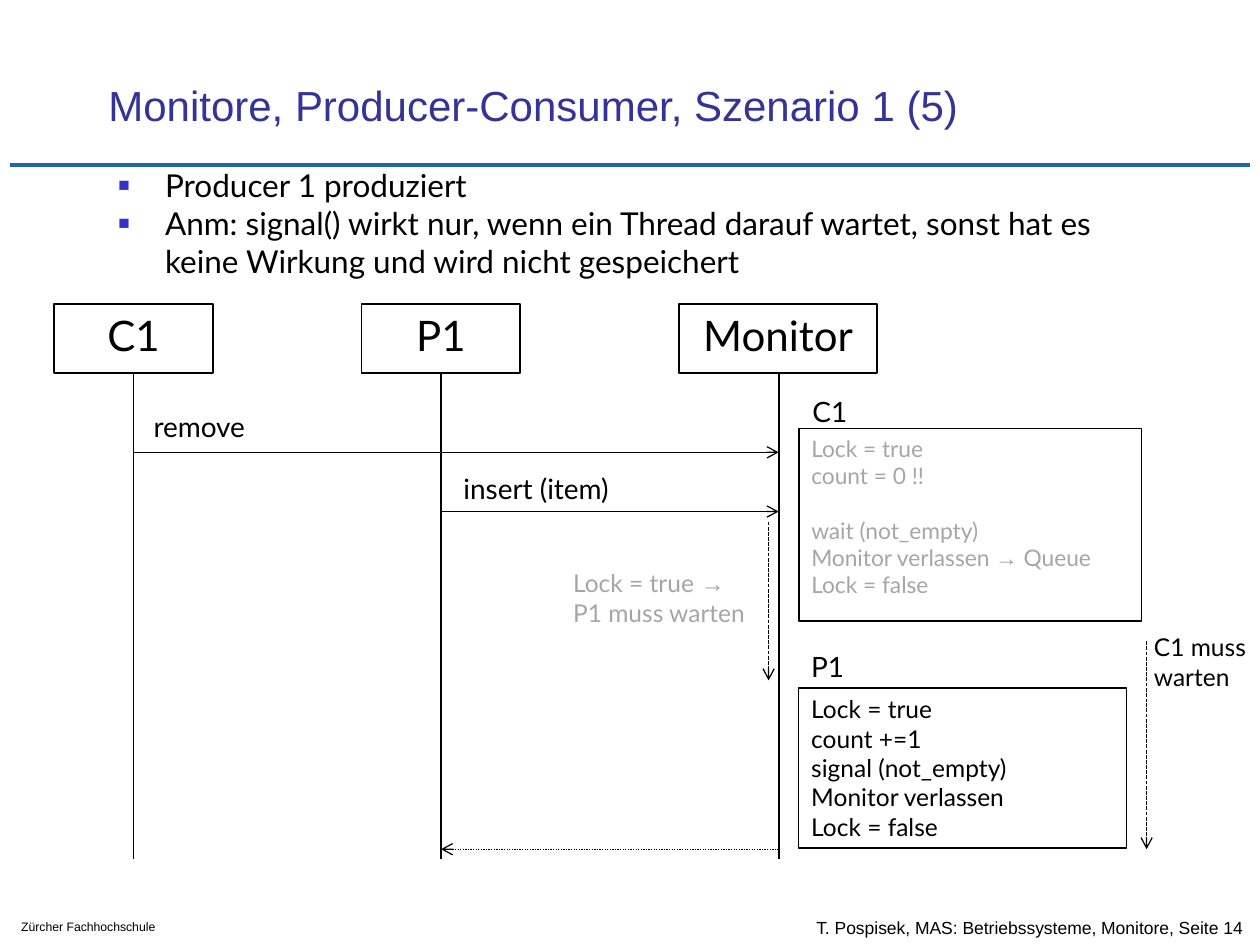
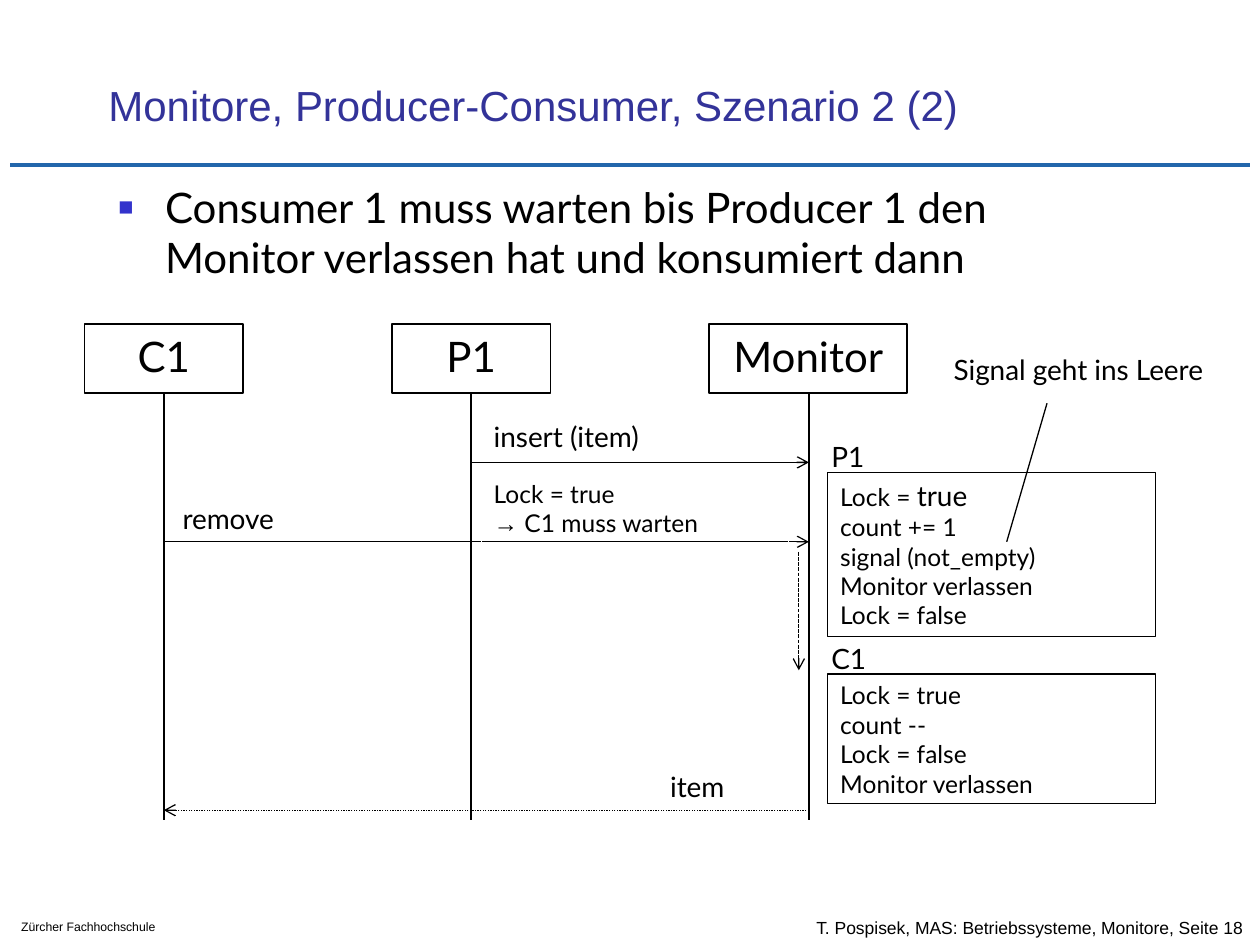
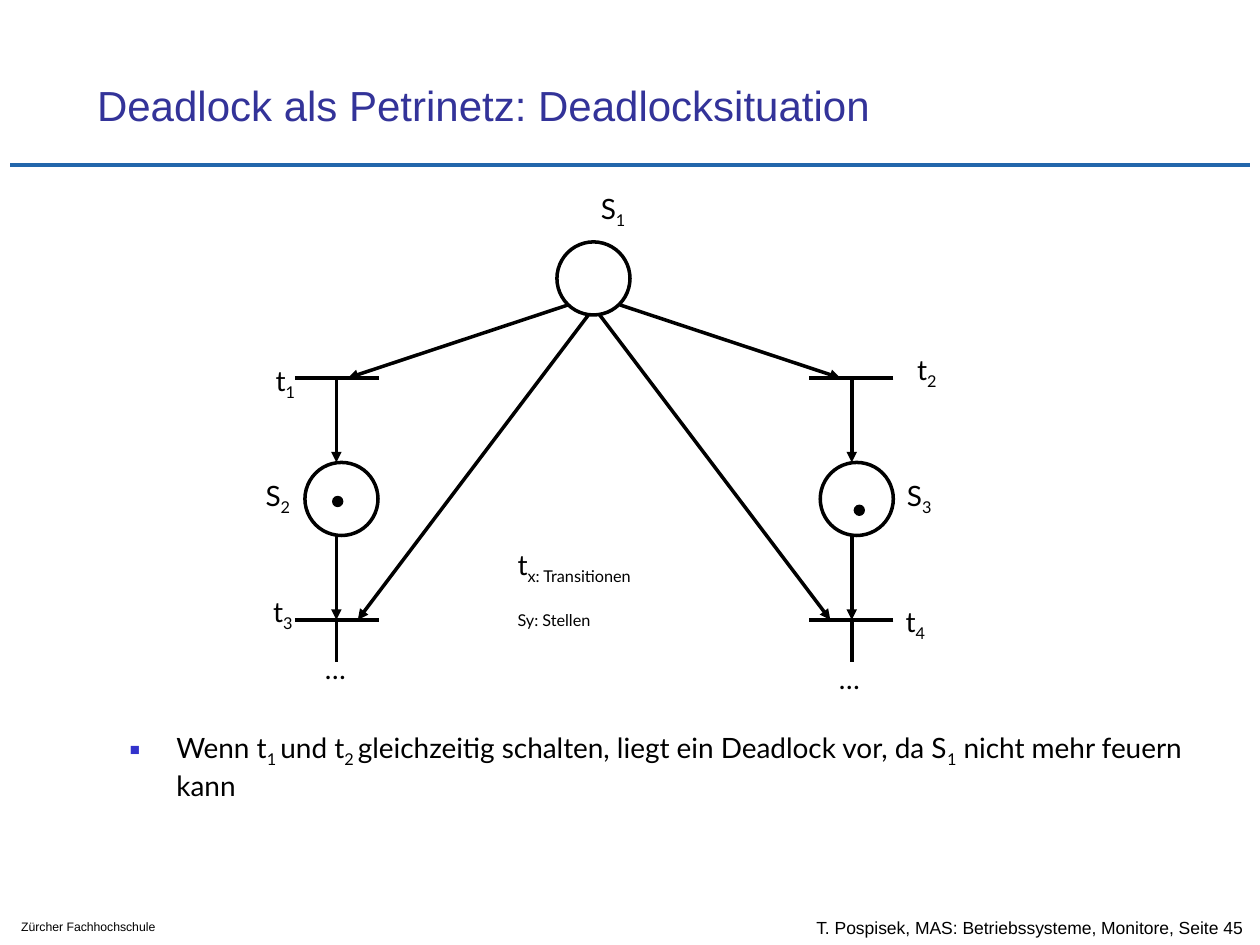
from dataclasses import dataclass

from pptx import Presentation
from pptx.dml import color
from pptx.enum import dml, shapes, text
from pptx.oxml import ns
from pptx import util as u
from lxml import etree

EMU_PER_PX = 9144  # 100 px to the inch


@dataclass(frozen=True)
class Theme:
    ink: str = "000000"
    paper: str = "FFFFFF"
    faded: str = "A6A6A6"
    title: str = "333399"
    bullet: str = "3333CC"
    rule: str = "2266AB"
    head_font: str = "Arial"
    body_font: str = "Lato"
    large: int = 24
    medium: int = 18
    label: int = 16
    code: int = 14
    code_small: int = 13
    footer: int = 10
    school: int = 7
    thin: float = 0.75
    lifeline: float = 1
    thick: float = 2
    band: float = 2.5


THEME = Theme()


@dataclass(frozen=True)
class Span:
    text: str
    font: str = None
    size: int = None
    lowered: bool = False


def sub(words):
    return Span(words, lowered=True)


ARROW = Span("→", font=THEME.head_font)


def px(length):
    return u.Emu(round(length * EMU_PER_PX))


def rgb(value):
    return color.RGBColor.from_string(value)


def xml_child(parent, tag, **attributes):
    return etree.SubElement(parent, ns.qn(tag), attributes)


def style(run, size, tint, font):
    run.font.size = u.Pt(size)
    run.font.name = font
    run.font.color.rgb = rgb(tint)


def write(para, content, size, tint=THEME.ink, font=THEME.body_font):
    """Fill a paragraph from a string or a sequence of strings and Spans."""
    spans = [content] if isinstance(content, (str, Span)) else content
    for item in spans:
        span = item if isinstance(item, Span) else Span(item)
        run = para.add_run()
        run.text = span.text
        style(run, span.size or size, tint, span.font or font)
        if span.lowered:
            run.font._element.set("baseline", "-25000")


def write_lines(frame, lines, size, tint=THEME.ink, font=THEME.body_font, gaps=None):
    """Write one paragraph per line; gaps maps a line index to its space before."""
    for index, line_content in enumerate(lines):
        para = frame.paragraphs[0] if index == 0 else frame.add_paragraph()
        if gaps and index in gaps:
            para.space_before = u.Pt(gaps[index])
        write(para, line_content, size, tint, font)


def place(shape, left, top, width, height):
    shape.left, shape.top = px(left), px(top)
    shape.width, shape.height = px(width), px(height)


def label(page, at, lines, size=THEME.label, font=THEME.body_font, wrap=True, gaps=None):
    box = page.shapes.add_textbox(*map(px, at))
    frame = box.text_frame
    frame.word_wrap = wrap
    if not wrap:
        frame.auto_size = text.MSO_AUTO_SIZE.SHAPE_TO_FIT_TEXT
    write_lines(frame, lines, size, font=font, gaps=gaps)
    return box


def outline(page, kind, at, width, edge=THEME.ink, fill=None):
    shape = page.shapes.add_shape(kind, *map(px, at))
    shape.shadow.inherit = False
    shape.line.color.rgb = rgb(edge)
    shape.line.width = u.Pt(width)
    if fill:
        shape.fill.solid()
        shape.fill.fore_color.rgb = rgb(fill)
    else:
        shape.fill.background()
    return shape


def note(page, at, lines, size=THEME.code, tint=THEME.ink, edge=THEME.ink, gaps=None):
    box = outline(page, shapes.MSO_SHAPE.RECTANGLE, at, THEME.thin, edge)
    frame = box.text_frame
    frame.word_wrap = True
    frame.vertical_anchor = text.MSO_ANCHOR.TOP
    write_lines(frame, lines, size, tint, gaps=gaps)
    for para in frame.paragraphs:
        para.alignment = text.PP_ALIGN.LEFT


def circle(page, left, top, size=58, width=THEME.thick, fill=None):
    outline(page, shapes.MSO_SHAPE.OVAL, (left, top, size, size), width, fill=fill)


def line(page, start, end, width=THEME.thin, tint=THEME.ink, head=None, dash=None):
    connector = page.shapes.add_connector(
        shapes.MSO_CONNECTOR.STRAIGHT, *map(px, (*start, *end)))
    connector.line.color.rgb = rgb(tint)
    connector.line.width = u.Pt(width)
    if dash:
        connector.line.dash_style = dash
    if head:
        xml_child(connector.line._get_or_add_ln(), "a:tailEnd", type=head)
    xml_child(connector._element.spPr, "a:effectLst")


def message(page, x_from, x_to, y, dash=None):
    line(page, (x_from, y), (x_to, y), head="arrow", dash=dash)


def reply(page, x_from, x_to, y):
    message(page, x_from, x_to, y, dash=dml.MSO_LINE.ROUND_DOT)


def waiting(page, x, top, bottom):
    line(page, (x, top), (x, bottom), head="arrow", dash=dml.MSO_LINE.SQUARE_DOT)


def actors(page, left, top, foot):
    """Draw the three participants; return the x of each lifeline."""
    height = 55
    axes = []
    for name, offset, width, axis in (
            ("C1", 0, 126, 63), ("P1", 244, 126, 307), ("Monitor", 496, 157, 575)):
        box = outline(page, shapes.MSO_SHAPE.RECTANGLE, (left + offset, top, width, height),
                      THEME.lifeline, fill=THEME.paper)
        frame = box.text_frame
        frame.word_wrap = False
        frame.vertical_anchor = text.MSO_ANCHOR.TOP
        write_lines(frame, [name], THEME.large)
        frame.paragraphs[0].alignment = text.PP_ALIGN.CENTER
        line(page, (left + axis, top + height), (left + axis, foot), THEME.lifeline)
        axes.append(left + axis)
    return axes


def bullets(page, at, items, size):
    body = page.placeholders[1]
    place(body, *at)
    frame = body.text_frame
    frame.auto_size = text.MSO_AUTO_SIZE.NONE
    write_lines(frame, items, size)
    for para in frame.paragraphs:
        para.space_before = u.Pt(0)
        props = para._p.get_or_add_pPr()
        props.set("marL", str(px(38)))
        props.set("indent", str(px(-37)))
        xml_child(xml_child(props, "a:buClr"), "a:srgbClr", val=THEME.bullet)
        xml_child(props, "a:buSzPct", val="60000")
        xml_child(props, "a:buFont", typeface=THEME.head_font)
        xml_child(props, "a:buChar", char="■")


def new_page(deck, heading, number, title_left):
    """Add a slide with its title, the rule below it and both footers."""
    page = deck.slides.add_slide(deck.slide_layouts[1])
    line(page, (8, 131), (992, 131), THEME.band, THEME.rule)
    footer = label(page, (638, 720, 362, 33),
                   [f"T. Pospisek, MAS: Betriebssysteme, Monitore, Seite {number}"],
                   THEME.footer, THEME.head_font)
    footer.text_frame.vertical_anchor = text.MSO_ANCHOR.MIDDLE
    footer.text_frame.margin_right = 0
    label(page, (7, 725, 172, 22), ["Zürcher Fachhochschule"], THEME.school, THEME.head_font)

    title = page.shapes.title
    place(title, title_left, 33, 852, 75)
    frame = title.text_frame
    frame.text = heading
    frame.auto_size = text.MSO_AUTO_SIZE.NONE
    frame.vertical_anchor = text.MSO_ANCHOR.BOTTOM
    para = frame.paragraphs[0]
    para.alignment = text.PP_ALIGN.LEFT
    style(para.runs[0], THEME.large, THEME.title, THEME.head_font)
    return page


def scenario_one(deck):
    page = new_page(deck, "Monitore, Producer-Consumer, Szenario 1 (5)", 14, 76)
    bullets(page, (83, 127, 834, 100), [
        "Producer 1 produziert",
        "Anm: signal() wirkt nur, wenn ein Thread darauf wartet, sonst hat es "
        "keine Wirkung und wird nicht gespeichert"], THEME.medium)
    consumer, producer, monitor = actors(page, 43, 241, 682)

    message(page, consumer, monitor, 359)
    label(page, (112, 320, 98, 37), ["remove"], wrap=False)
    message(page, producer, monitor, 406)
    label(page, (358, 369, 189, 37), ["insert (item)"])
    note(page, (634, 340, 272, 153), [
        "Lock = true", "count = 0 !!", "wait (not_empty)",
        ("Monitor verlassen ", ARROW, " Queue"), "Lock = false"],
        THEME.code_small, THEME.faded, gaps={2: 15.6})
    waiting(page, monitor - 8, 414, 540)
    note(page, (445, 446, 158, 80), [("Lock = true ", ARROW, " P1 muss warten")],
         tint=THEME.faded, edge=THEME.paper)
    note(page, (634, 546, 260, 127), [
        "Lock = true", "count +=1", "signal (not_empty)", "Monitor verlassen", "Lock = false"])
    label(page, (635, 308, 94, 37), ["C1"])
    label(page, (634, 511, 94, 37), ["P1"])
    reply(page, monitor, producer, 674)
    waiting(page, 910, 509, 674)
    note(page, (906, 497, 106, 57), ["C1 muss warten"], edge=THEME.paper)


def scenario_two(deck):
    page = new_page(deck, "Monitore, Producer-Consumer, Szenario 2 (2)", 18, 76)
    bullets(page, (83, 139, 818, 90), [
        "Consumer 1 muss warten bis Producer 1 den Monitor verlassen hat und "
        "konsumiert dann"], THEME.large)
    consumer, producer, monitor = actors(page, 67, 257, 651)

    message(page, consumer, monitor, 430)
    label(page, (135, 393, 98, 37), ["remove"], wrap=False)
    message(page, producer, monitor, 367)
    label(page, (382, 328, 173, 37), ["insert (item)"])
    note(page, (657, 375, 260, 130), [
        ("Lock = ", Span("true", size=THEME.label)), "count += 1", "signal (not_empty)",
        "Monitor verlassen", "Lock = false"])
    waiting(page, monitor - 8, 438, 532)
    note(page, (382, 375, 244, 57), ["Lock = true", (ARROW, " C1 muss warten")],
         edge=THEME.paper)
    label(page, (650, 344, 94, 37), ["P1"])
    label(page, (747, 275, 236, 37), ["Signal geht ins Leere"], wrap=False)
    line(page, (799, 430), (831, 320))
    note(page, (657, 535, 260, 103), [
        "Lock = true", "count --", "Lock = false", "Monitor verlassen"])
    label(page, (650, 504, 94, 37), ["C1"])
    reply(page, monitor, consumer, 643)
    label(page, (522, 606, 67, 37), ["item"], wrap=False)


def petri_branch(page, mirrored):
    """Draw one half of the net; the right half mirrors the left one."""
    def at(x, y):
        return (943 - x if mirrored else x), y

    def arc(start, end, head="triangle"):
        line(page, at(*start), at(*end), THEME.thick, head=head)

    axis, upper, lower = 267, 300, 492
    for bar in (upper, lower):
        arc((axis - 33, bar), (axis + 34, bar), head=None)
    circle(page, at(axis, 0)[0] - 25, 367)
    arc((axis, upper), (axis, 367))
    arc((axis, 425), (axis, lower))
    arc((axis, lower), (axis, 525), head=None)
    arc((467, 250), (284, lower))
    arc((451, 242), (276, upper))


def deadlock(deck):
    page = new_page(deck, "Deadlock als Petrinetz: Deadlocksituation", 45, 67)
    bullets(page, (92, 575, 858, 108), [
        ("Wenn t", sub("1 "), "und t", sub("2 "),
         "gleichzeitig schalten, liegt ein Deadlock vor, da S", sub("1"),
         " nicht mehr feuern kann")], THEME.label)
    for mirrored in (False, True):
        petri_branch(page, mirrored)
    circle(page, 442, 192)
    for left, top in ((264, 394), (678, 401)):
        circle(page, left, top, 8, THEME.thin, THEME.ink)

    for letter, index, left, top in (
            ("S", "1", 467, 147), ("S", "2", 201, 375), ("S", "3", 710, 375),
            ("t", "1", 209, 284), ("t", "2", 718, 275),
            ("t", "3", 207, 467), ("t", "4", 709, 475)):
        label(page, (left, top, 50, 40), [(letter, sub(index))])
    label(page, (401, 430, 128, 75),
          [("t", sub("x: Transitionen")), sub("Sy: Stellen")], gaps={1: 3.2})
    for left, top in ((248, 512), (656, 520)):
        label(page, (left, top, 47, 37), ["…"])


def main():
    deck = Presentation()
    deck.slide_width, deck.slide_height = px(1000), px(750)
    scenario_one(deck)
    scenario_two(deck)
    deadlock(deck)
    deck.save("out.pptx")


if __name__ == "__main__":
    main()
